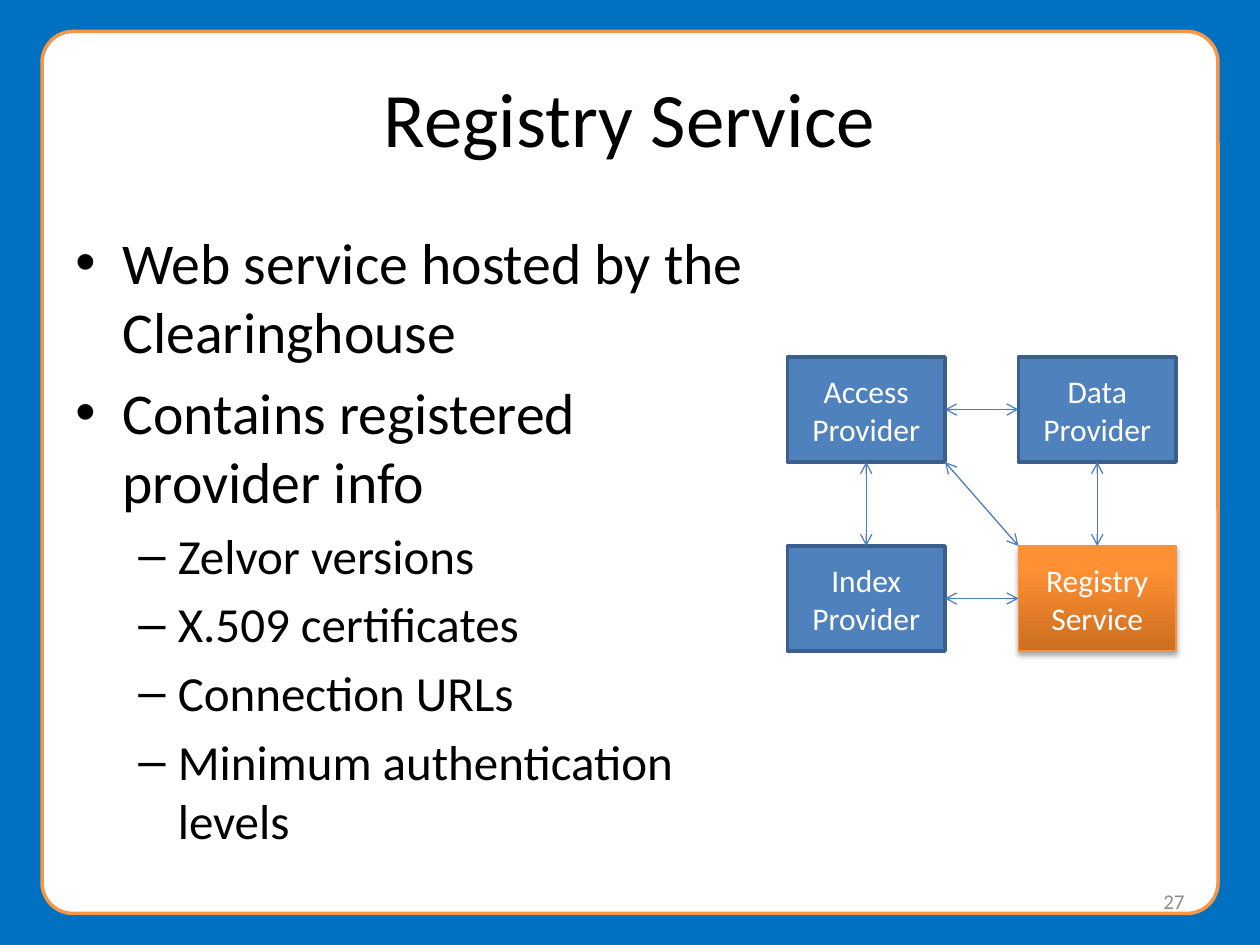
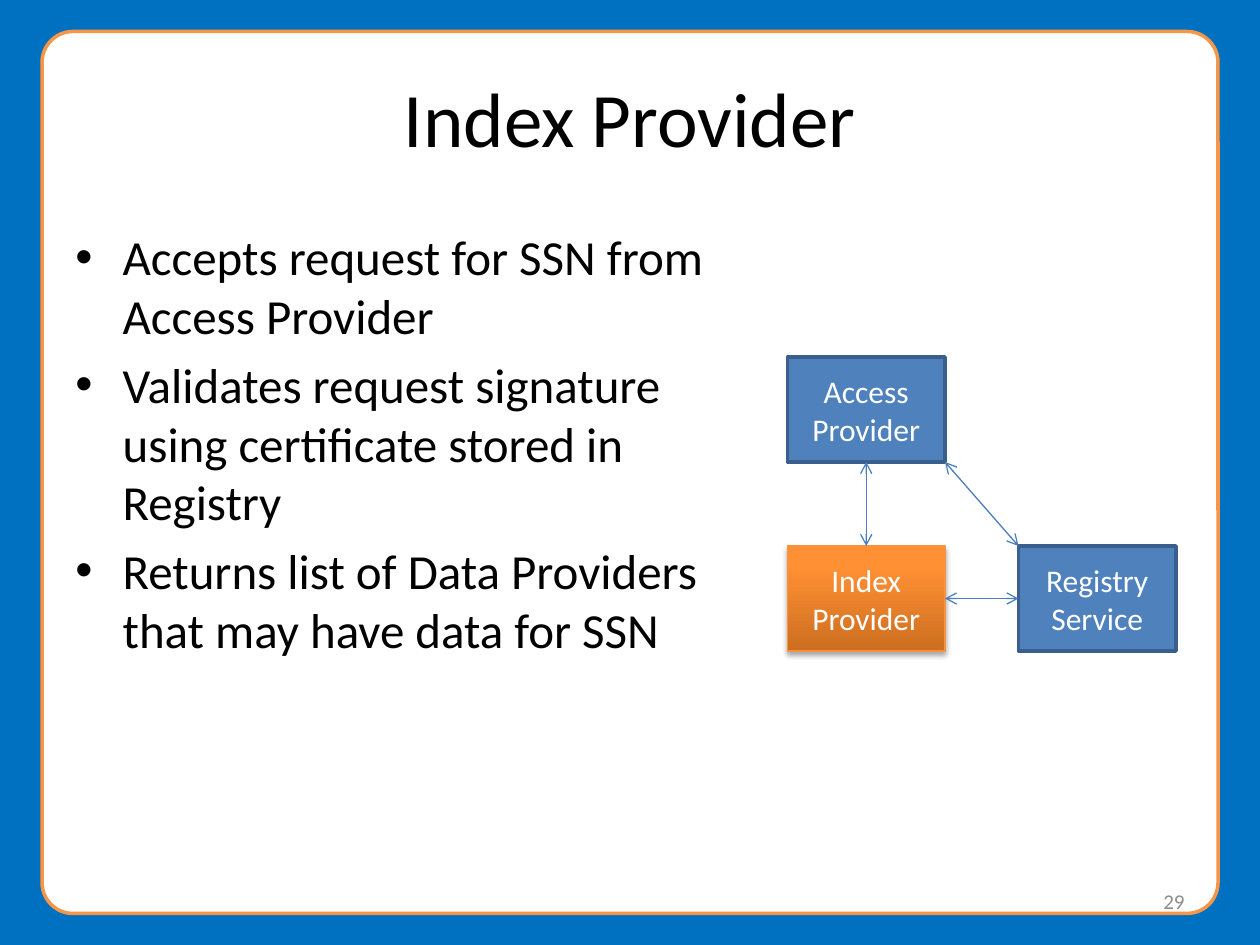
from copy import deepcopy

from lxml import etree
from pptx import Presentation
from pptx.dml.color import RGBColor
from pptx.enum import shapes, text
from pptx.oxml import ns
from pptx.util import Pt

FONT = "Calibri"
BLUE_BACK = RGBColor(0x00, 0x70, 0xC0)
WHITE = RGBColor(0xFF, 0xFF, 0xFF)
BLACK = RGBColor(0x00, 0x00, 0x00)
GREY = RGBColor(0x8C, 0x8C, 0x8C)
CARD_LINE = RGBColor(0xF7, 0x96, 0x46)
BOX_FILL = RGBColor(0x4F, 0x81, 0xBD)
BOX_LINE = RGBColor(0x3A, 0x5F, 0x8C)
ARROW = RGBColor(0x4B, 0x7E, 0xBC)
ACTIVE_LINE = RGBColor(0xF6, 0x92, 0x40)
ACTIVE_STOPS = [
    (0, RGBColor(0xCC, 0x6E, 0x20)),
    (0.8, RGBColor(0xFF, 0x90, 0x34)),
    (1, RGBColor(0xFF, 0x91, 0x36)),
]

# Diagram grid: column and row of each box
BOX_W, BOX_H = 90, 60
GRID_X, GRID_Y = 450, 204
STEP_X, STEP_Y = 132, 108
CELLS = {
    "Access Provider": (0, 0),
    "Index Provider": (0, 1),
    "Registry Service": (1, 1),
    "Data Provider": (1, 0),
}
# Each end of a link: box name, then the point on it as shares of width and height
LINKS = [
    ("Access Provider", (1, 1), "Registry Service", (0, 0)),
    ("Access Provider", (1, 0.5), "Data Provider", (0, 0.5)),
    ("Access Provider", (0.5, 1), "Index Provider", (0.5, 0)),
    ("Index Provider", (1, 0.5), "Registry Service", (0, 0.5)),
    ("Data Provider", (0.5, 1), "Registry Service", (0.5, 0)),
]

# Bullet mark, left margin and hanging indent by level
LEVELS = [("•", 27, 27), ("–", 58.5, 22.5)]

SLIDES = [
    {
        "title": "Registry Service",
        "number": "27",
        "boxes": list(CELLS),
        "bullets": [
            (0, 33, "Web service hosted by the Clearinghouse"),
            (0, 33, "Contains registered provider info"),
            (1, 28, "Zelvor versions"),
            (1, 28, "X.509 certificates"),
            (1, 28, "Connection URLs"),
            (1, 28, "Minimum authentication levels"),
        ],
    },
    {
        "title": "Index Provider",
        "number": "29",
        "boxes": ["Access Provider", "Index Provider", "Registry Service"],
        "bullets": [
            (0, 28, "Accepts request for SSN from Access Provider"),
            (0, 28, "Validates request signature using certificate stored in Registry"),
            (0, 28, "Returns list of Data Providers that may have data for SSN"),
        ],
    },
]


def add_run(p, words, size, color, align):
    p.alignment = align
    r = p.add_run()
    r.text = words
    r.font.name, r.font.size = FONT, Pt(size)
    r.font.color.rgb = color


def grid_point(name, share):
    """Return the slide position of a point on the named box."""
    col, row = CELLS[name]
    return (Pt(GRID_X + col * STEP_X + share[0] * BOX_W),
            Pt(GRID_Y + row * STEP_Y + share[1] * BOX_H))


prs = Presentation()
prs.slide_width, prs.slide_height = Pt(720), Pt(540)

for page in SLIDES:
    s = prs.slides.add_slide(prs.slide_layouts[5])
    s.background.fill.solid()
    s.background.fill.fore_color.rgb = BLUE_BACK

    # Title on the white card
    title = s.shapes.title
    title.left, title.top, title.width, title.height = Pt(36), Pt(21.6), Pt(648), Pt(90)
    title.text_frame.vertical_anchor = text.MSO_ANCHOR.MIDDLE
    add_run(title.text_frame.paragraphs[0], page["title"], 44, BLACK, text.PP_ALIGN.CENTER)

    card = s.shapes.add_shape(shapes.MSO_SHAPE.ROUNDED_RECTANGLE,
                              Pt(24), Pt(18), Pt(672), Pt(504))
    card.adjustments[0] = 0.035
    card.shadow.inherit = False
    card.fill.solid()
    card.fill.fore_color.rgb = WHITE
    card.line.color.rgb = CARD_LINE
    card.line.width = Pt(2)
    title.element.addprevious(card.element)

    # Bullets
    tf = s.shapes.add_textbox(Pt(36), Pt(126), Pt(408), Pt(356.4)).text_frame
    tf.word_wrap = True
    for i, (level, size, words) in enumerate(page["bullets"]):
        p = tf.add_paragraph() if i else tf.paragraphs[0]
        mark, margin, hang = LEVELS[level]
        p.level = level
        p.space_before = Pt(size * 0.2)
        add_run(p, words, size, BLACK, text.PP_ALIGN.LEFT)
        pPr = p._p.get_or_add_pPr()
        pPr.set("marL", str(Pt(margin)))
        pPr.set("indent", str(-Pt(hang)))
        etree.SubElement(pPr, ns.qn("a:buFont"), typeface="Arial")
        etree.SubElement(pPr, ns.qn("a:buChar"), char=mark)

    # Slide number
    tf = s.shapes.add_textbox(Pt(516), Pt(500.4), Pt(168), Pt(28.8)).text_frame
    tf.word_wrap = True
    tf.vertical_anchor = text.MSO_ANCHOR.MIDDLE
    add_run(tf.paragraphs[0], page["number"], 12, GREY, text.PP_ALIGN.RIGHT)

    # Diagram boxes; the one named in the title stands out
    for name in page["boxes"]:
        box = s.shapes.add_shape(shapes.MSO_SHAPE.RECTANGLE, *grid_point(name, (0, 0)),
                                 Pt(BOX_W), Pt(BOX_H))
        box.shadow.inherit = False
        if name == page["title"]:
            box.fill.gradient()
            box.fill.gradient_angle = 90
            stops = box.element.spPr.find(".//" + ns.qn("a:gsLst"))
            stops.append(deepcopy(stops[-1]))
            for stop, (position, color) in zip(box.fill.gradient_stops, ACTIVE_STOPS):
                stop.position = position
                stop.color.rgb = color
            box.line.color.rgb = ACTIVE_LINE
            box.line.width = Pt(0.75)
            effects = box.element.spPr.find(ns.qn("a:effectLst"))
            shadow = etree.SubElement(effects, ns.qn("a:outerShdw"), blurRad=str(Pt(3.1)),
                                      dist=str(Pt(1.8)), dir="5400000", rotWithShape="0")
            tint = etree.SubElement(shadow, ns.qn("a:srgbClr"), val="000000")
            etree.SubElement(tint, ns.qn("a:alpha"), val="35000")
        else:
            box.fill.solid()
            box.fill.fore_color.rgb = BOX_FILL
            box.line.color.rgb = BOX_LINE
            box.line.width = Pt(2)
        tf = box.text_frame
        tf.word_wrap = True
        tf.vertical_anchor = text.MSO_ANCHOR.MIDDLE
        add_run(tf.paragraphs[0], name, 18, WHITE, text.PP_ALIGN.CENTER)

    # Two-way arrows between the boxes present
    for start, start_share, end, end_share in LINKS:
        if start not in page["boxes"] or end not in page["boxes"]:
            continue
        link = s.shapes.add_connector(shapes.MSO_CONNECTOR.STRAIGHT,
                                      *grid_point(start, start_share),
                                      *grid_point(end, end_share))
        link.line.color.rgb = ARROW
        link.line.width = Pt(0.75)
        ln = link.element.spPr.find(ns.qn("a:ln"))
        for tip in ("a:headEnd", "a:tailEnd"):
            etree.SubElement(ln, ns.qn(tip), type="arrow")
        etree.SubElement(link.element.spPr, ns.qn("a:effectLst"))

prs.save("out.pptx")
